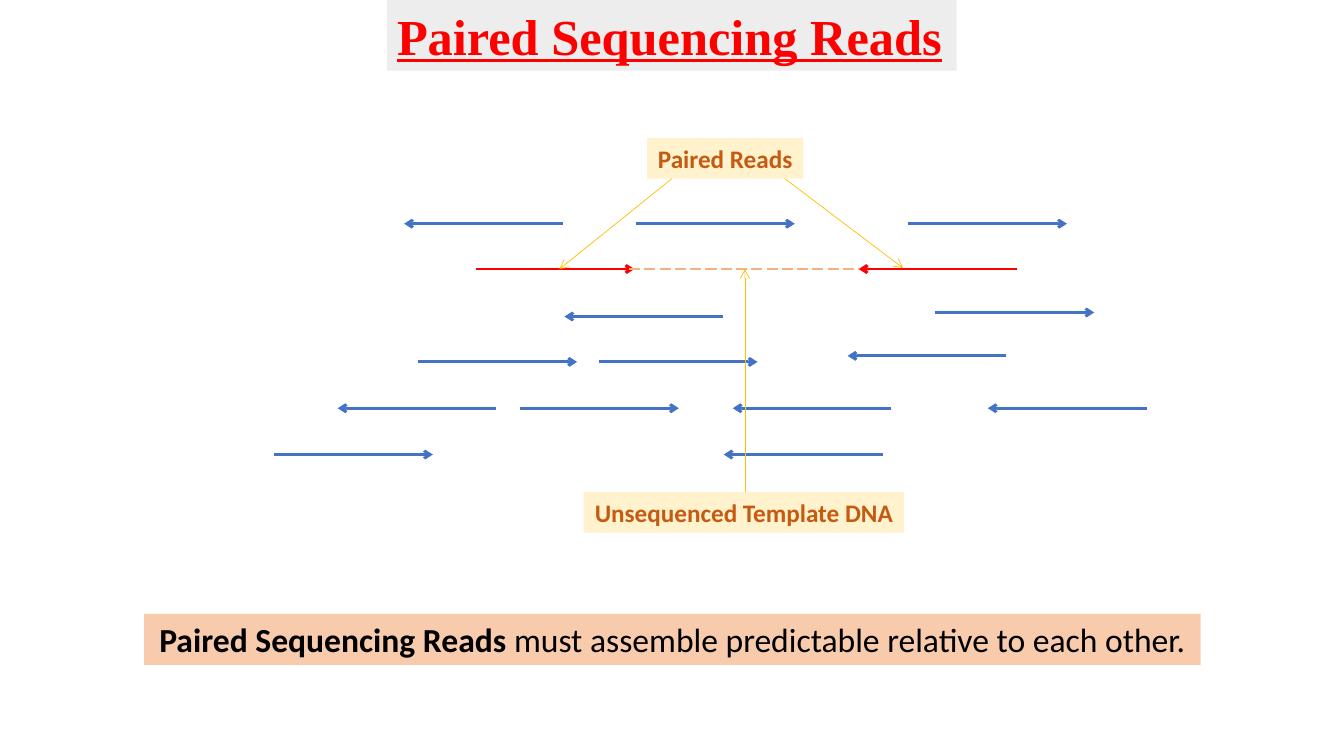
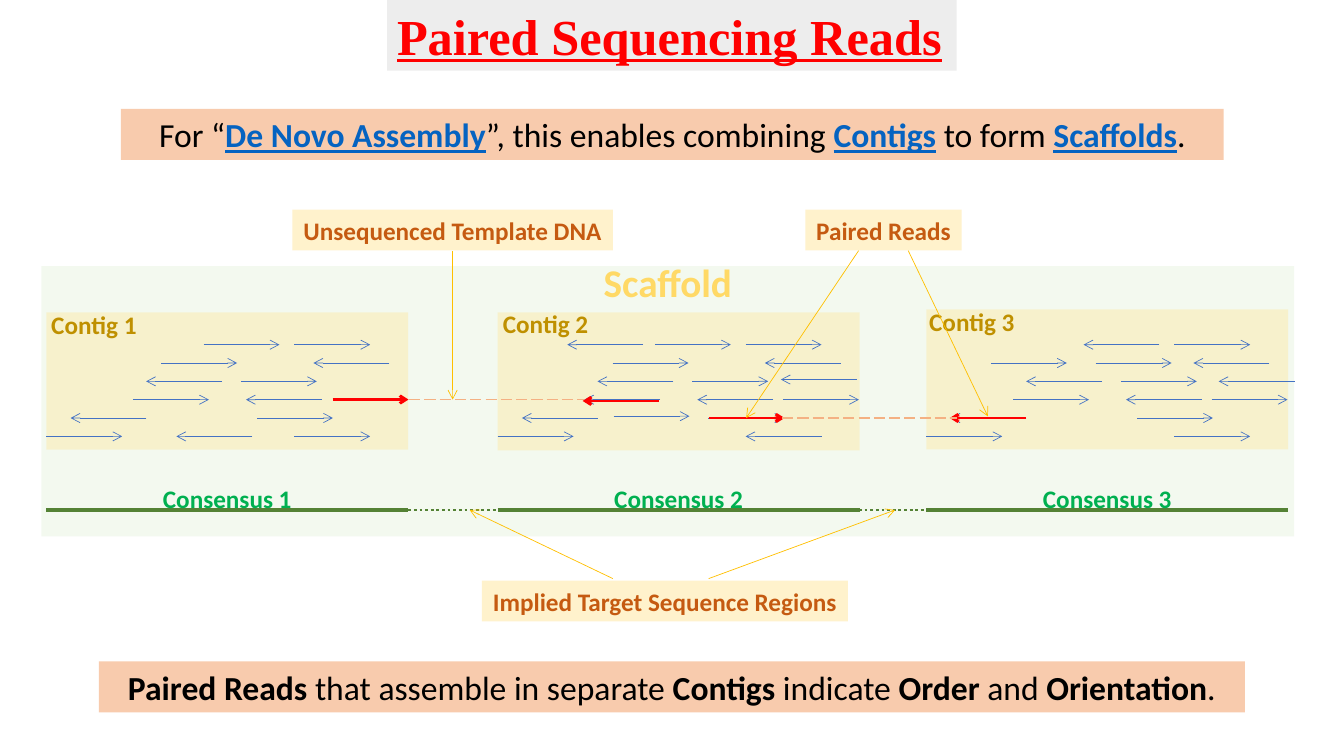
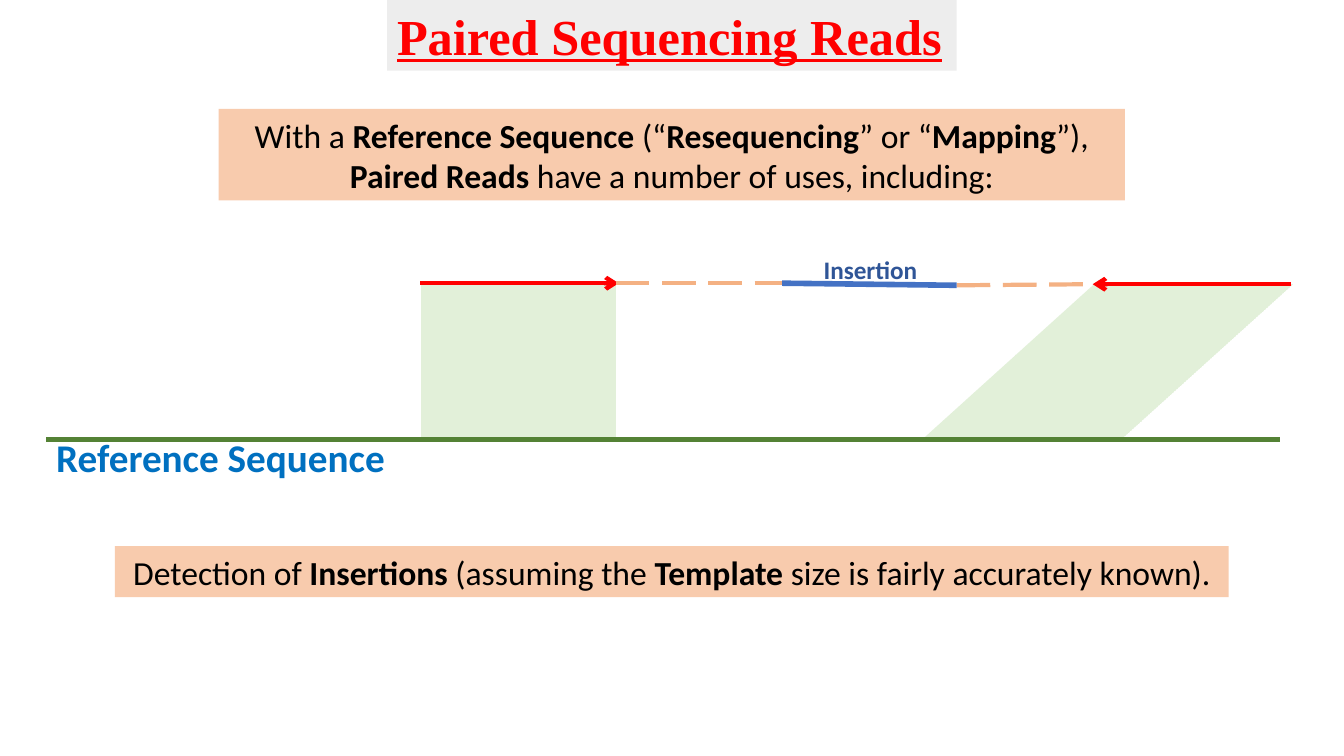
from lxml import etree
from pptx import Presentation
from pptx.dml.color import RGBColor
from pptx.enum.dml import MSO_LINE, MSO_PATTERN
from pptx.enum.shapes import MSO_CONNECTOR, MSO_SHAPE
from pptx.enum.text import MSO_AUTO_SIZE, PP_ALIGN
from pptx.oxml.ns import qn
from pptx.util import Pt

RECT, PARALLELOGRAM = MSO_SHAPE.RECTANGLE, MSO_SHAPE.PARALLELOGRAM
STRAIGHT = MSO_CONNECTOR.STRAIGHT
LONG_DASH, DOTS = MSO_LINE.LONG_DASH, MSO_LINE.ROUND_DOT
DARK_VERTICAL = MSO_PATTERN.DARK_VERTICAL
LEFT_ALIGN, CENTER = PP_ALIGN.LEFT, PP_ALIGN.CENTER
GROW = MSO_AUTO_SIZE.SHAPE_TO_FIT_TEXT

BLACK, WHITE, RED, BLUE = "000000", "FFFFFF", "FF0000", "4472C4"
GREY, PEACH, CREAM, SAND, MINT = "EDEDED", "F8CBAD", "FFF2CC", "FFE699", "E2F0D9"
ORANGE, RUST, AMBER, GREEN = "F4B183", "C55A11", "FFC000", "548235"
GOLD, YELLOW, LEAF = "BF9000", "FFD966", "00B050"
LINK, SKY, NAVY = "0563C1", "0070C0", "2F5597"

RIGHT, LEFT = 1, -1
CONTIG_WIDTH = 258.5
ROW_TOP, ROW_PITCH = 246.2, 13.1

LONG_READS = [
    (288.7, 159.8, LEFT), (454.3, 159.8, RIGHT), (648.7, 159.8, RIGHT),
    (668.2, 223.2, RIGHT), (403.2, 226.1, LEFT), (605.5, 254.2, LEFT),
    (298.8, 258.5, RIGHT), (427.7, 258.5, RIGHT),
    (241.2, 291.6, LEFT), (371.5, 291.6, RIGHT), (523.4, 291.6, LEFT),
    (705.6, 291.6, LEFT), (195.8, 324.7, RIGHT), (517, 324.7, LEFT),
]
COMMON_READS = [
    (177.1, 0, RIGHT), (190.8, 1, LEFT), (71.3, 2, LEFT), (139, 2, RIGHT),
    (142.6, 3, LEFT), (17.3, 4, LEFT), (150.5, 4, RIGHT), (0, 5, RIGHT),
]
CONTIGS = [
    (33.1, 223.2, 98, (29.5, 217.4), [
        (112.3, 0, RIGHT), (82.1, 1, RIGHT), (61.9, 3, RIGHT),
        (92.9, 5, LEFT), (177.1, 5, RIGHT)]),
    (355.5, 223.2, 98.6, (352.1, 216.7), [
        (49.7, 0, LEFT), (112.3, 0, RIGHT), (82.1, 1, RIGHT),
        (202.3, 1.9, LEFT), (61.9, 3, LEFT), (203.8, 3, RIGHT),
        (82.8, 3.9, RIGHT), (177.1, 5, LEFT)]),
    (661.7, 221, 100, (656.6, 215.3), [
        (112.3, 0, LEFT), (46.1, 1, RIGHT), (121, 1, RIGHT),
        (208.8, 2, LEFT), (61.9, 3, RIGHT), (203.8, 3, RIGHT),
        (177.1, 5, RIGHT)]),
]


def rgb(value):
    """Return a colour from its hex string."""
    return RGBColor.from_string(value)


def add_block(s, box, fill, kind=RECT):
    """Add a filled shape without outline."""
    sp = s.shapes.add_shape(kind, *map(Pt, box))
    sp.shadow.inherit = False
    sp.line.fill.background()
    sp.fill.solid()
    sp.fill.fore_color.rgb = rgb(fill)
    return sp


def add_tint(s, box, fill, percent):
    """Add a see-through block with the given opacity."""
    sp = add_block(s, box, fill)
    color = sp.element.find(".//" + qn("a:srgbClr"))
    etree.SubElement(color, qn("a:alpha"), val=str(percent * 1000))


def add_match(s, box, kind):
    """Add a striped area that joins a read to the reference."""
    sp = add_block(s, box, MINT, kind)
    sp.fill.patterned()
    sp.fill.pattern = DARK_VERTICAL
    sp.fill.fore_color.rgb = rgb(MINT)
    sp.fill.back_color.rgb = rgb(WHITE)
    return sp


def write(sp, lines, size, color, align=CENTER, bold=True, wrap=True,
          name="Calibri", underline=None, term_color=None):
    """Write lines of text, with terms between asterisks in bold."""
    tf = sp.text_frame
    tf.word_wrap = wrap
    tf.auto_size = GROW
    for i, line in enumerate(lines):
        p = tf.add_paragraph() if i else tf.paragraphs[0]
        p.alignment = align
        p.font.name, p.font.size = name, Pt(size)
        p.font.bold, p.font.underline = bold, underline
        p.font.color.rgb = rgb(color)
        for j, part in enumerate(line.split("*")):
            if not part:
                continue
            r = p.add_run()
            r.text = part
            if j % 2:
                r.font.bold = True
                if term_color:
                    r.font.underline = True
                    r.font.color.rgb = rgb(term_color)


def add_text(s, box, text, size, color, **style):
    """Add a text box with one line."""
    write(s.shapes.add_textbox(*map(Pt, box)), [text], size, color, **style)


def add_banner(s, box, *lines, term_color=None):
    """Add a peach statement box."""
    write(add_block(s, box, PEACH), lines, 24, BLACK, bold=False,
          term_color=term_color)


def add_label(s, x, y, width, text):
    """Add a cream callout label."""
    write(add_block(s, (x, y, width, 29.1), CREAM), [text], 18, RUST, wrap=False)


def add_line(s, start, end, color, width, dash=None, arrow=False):
    """Add a straight line, dashed or with an arrowhead if asked."""
    cxn = s.shapes.add_connector(STRAIGHT, *map(Pt, (*start, *end)))
    cxn.line.color.rgb = rgb(color)
    cxn.line.width = Pt(width)
    if dash:
        cxn.line.dash_style = dash
    props = cxn.element.spPr
    if arrow:
        etree.SubElement(props.find(qn("a:ln")), qn("a:tailEnd"), type="arrow")
    etree.SubElement(props, qn("a:effectLst"))


def add_read(s, x, y, direction, length, color, width):
    """Add a horizontal read that points left or right."""
    ends = [(x, y), (x + length, y)][::direction]
    add_line(s, *ends, color, width, arrow=True)


def add_pointer(s, start, end):
    """Add a thin arrow from a label to its target."""
    add_line(s, start, end, AMBER, 0.5, arrow=True)


def new_slide(prs):
    """Add a blank slide with the common title."""
    s = prs.slides.add_slide(prs.slide_layouts[6])
    sp = add_block(s, (276.5, -0.5, 406.8, 51), GREY)
    write(sp, ["Paired Sequencing Reads"], 36, RED, align=LEFT_ALIGN,
          name="Times New Roman", underline=True)
    return s


def build_reads(prs):
    """Build the slide on reads and their pairs."""
    s = new_slide(prs)
    add_banner(s, (103, 438.5, 754.6, 36.4),
               "*Paired Sequencing Reads *must assemble predictable relative to each other.")
    for x, y, direction in LONG_READS:
        add_read(s, x, y, direction, 113.4, BLUE, 2)
    add_read(s, 339.8, 192.2, RIGHT, 113.4, RED, 2)
    add_read(s, 613.4, 192.2, LEFT, 113.4, RED, 2)
    add_line(s, (449.3, 192.2), (613.4, 192.2), ORANGE, 1, LONG_DASH)
    add_pointer(s, (532.1, 351.4), (532.1, 192.2))
    add_pointer(s, (480.2, 127.4), (399.6, 192.2))
    add_pointer(s, (559.4, 126.7), (645.1, 191.5))
    add_label(s, 462.2, 98.6, 111.6, "Paired Reads")
    add_label(s, 416.9, 351.4, 229, "Unsequenced Template DNA")


def add_contig(s, number, x, y, height, label, extra_reads):
    """Add one contig with its reads, name and consensus."""
    add_tint(s, (x, y, CONTIG_WIDTH, height), SAND, 40)
    for dx, row, direction in COMMON_READS + extra_reads:
        add_read(s, x + dx, ROW_TOP + row * ROW_PITCH, direction, 54.2, BLUE, 0.5)
    add_text(s, (*label, 75.6, 29.1), f"Contig {number}", 18, GOLD,
             align=LEFT_ALIGN, wrap=False)
    add_line(s, (x, 364.3), (x + CONTIG_WIDTH, 364.3), GREEN, 3)
    add_text(s, (x, 342, CONTIG_WIDTH, 29.1), f"Consensus {number}", 18, LEAF)


def build_scaffold(prs):
    """Build the slide on contigs joined to a scaffold."""
    s = new_slide(prs)
    add_banner(s, (86.4, 77.8, 787.7, 36.4),
               "For “*De Novo Assembly*”, this enables combining *Contigs* to form *Scaffolds*.",
               term_color=LINK)
    add_tint(s, (29.5, 190.1, 895, 193), MINT, 40)
    for number, contig in enumerate(CONTIGS, 1):
        add_contig(s, number, *contig)
    for x, y, direction in [(237.6, 285.4, RIGHT), (506.2, 298.6, RIGHT),
                            (416.2, 286.4, LEFT), (678.4, 298.6, LEFT)]:
        add_read(s, x, y, direction, 54.2, RED, 2)
    for x, end in [(291.6, 355.5), (613.6, 665.3)]:
        add_line(s, (x, 364.3), (end, 364.3), GREEN, 2, DOTS)
    for x, y in [(292.3, 285.4), (558.7, 298.6)]:
        add_line(s, (x, y), (x + 124.6, y), ORANGE, 1, LONG_DASH)
    add_text(s, (29.5, 180.7, 895, 41.2), "Scaffold", 28, YELLOW)
    for start, end in [((323.3, 179.3), (323.3, 285.4)),
                       ((613.4, 178.9), (533, 298.6)),
                       ((648.7, 178.9), (705.6, 297.4)),
                       ((437.8, 413.3), (335.5, 364.3)),
                       ((506.2, 413.3), (639.4, 364.3))]:
        add_pointer(s, start, end)
    add_label(s, 575.3, 149.8, 111.6, "Paired Reads")
    add_label(s, 208.8, 149.8, 229, "Unsequenced Template DNA")
    add_label(s, 344.2, 414.7, 261.4, "Implied Target Sequence Regions")
    add_banner(s, (70.6, 472.5, 818.6, 36.4),
               "*Paired Reads *that assemble in separate *Contigs* indicate *Order* and *Orientation*.")


def build_insertion(prs):
    """Build the slide on finding insertions."""
    s = new_slide(prs)
    slanted = add_match(s, (658.8, 203, 265, 110.9), PARALLELOGRAM)
    slanted.adjustments[0] = 1.107
    add_match(s, (300.2, 202.3, 139.7, 112.3), RECT)
    add_banner(s, (156.2, 77.8, 647.3, 65.4),
               "With a *Reference Sequence *(“*Resequencing*” or “*Mapping*”),",
               "*Paired Reads* have a number of uses, including:")
    add_line(s, (33.1, 314), (914.4, 314), GREEN, 3)
    add_text(s, (33.1, 306, 881.3, 41.2), "Reference Sequence", 28, SKY,
             align=LEFT_ALIGN)
    add_read(s, 300.2, 202.3, RIGHT, 141.8, RED, 3)
    add_read(s, 780.5, 203, LEFT, 141.8, RED, 3)
    add_line(s, (439.9, 202.3), (560.2, 202.3), ORANGE, 3, LONG_DASH)
    add_line(s, (683.3, 203.8), (780.5, 203), ORANGE, 3, LONG_DASH)
    add_line(s, (558.7, 202.3), (683.3, 203.8), BLUE, 4)
    add_text(s, (560.2, 177.8, 123.1, 29.1), "Insertion", 18, NAVY)
    add_banner(s, (82.1, 390.2, 795.6, 36.4),
               "Detection of *Insertions* (assuming the *Template* size is fairly accurately known).")


def main():
    """Build and save the presentation."""
    prs = Presentation()
    prs.slide_width, prs.slide_height = Pt(960), Pt(540)
    build_reads(prs)
    build_scaffold(prs)
    build_insertion(prs)
    prs.save("out.pptx")


main()
